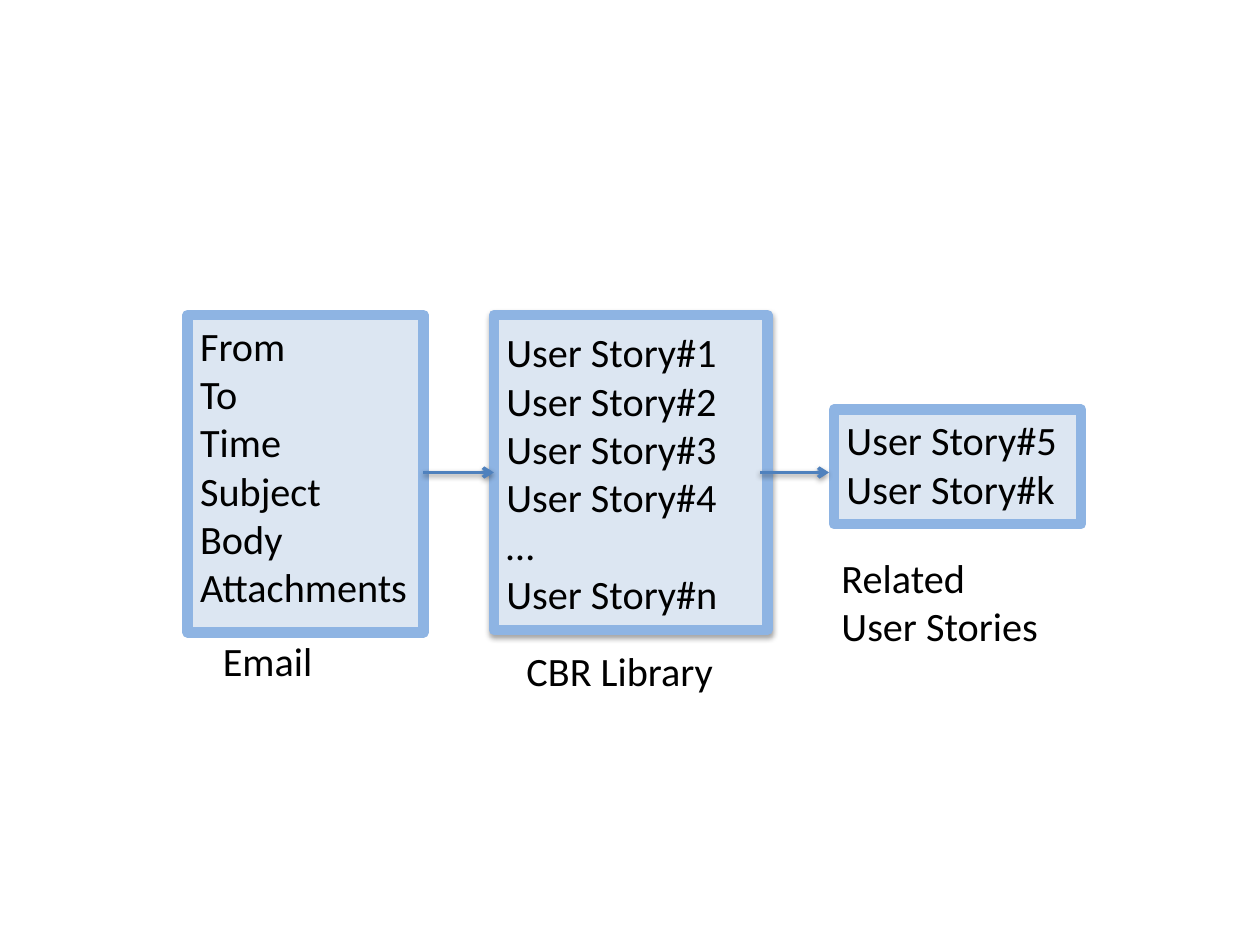
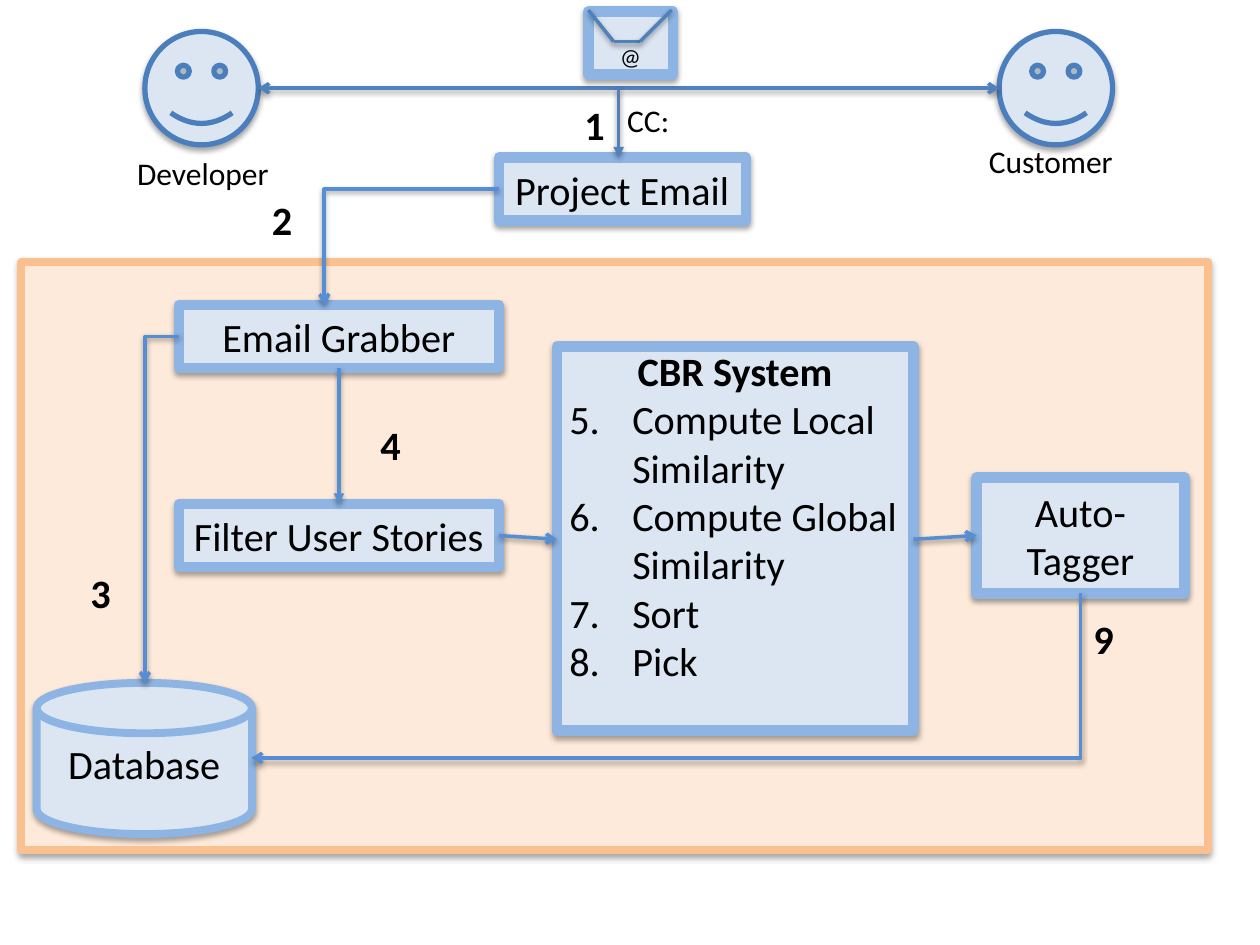
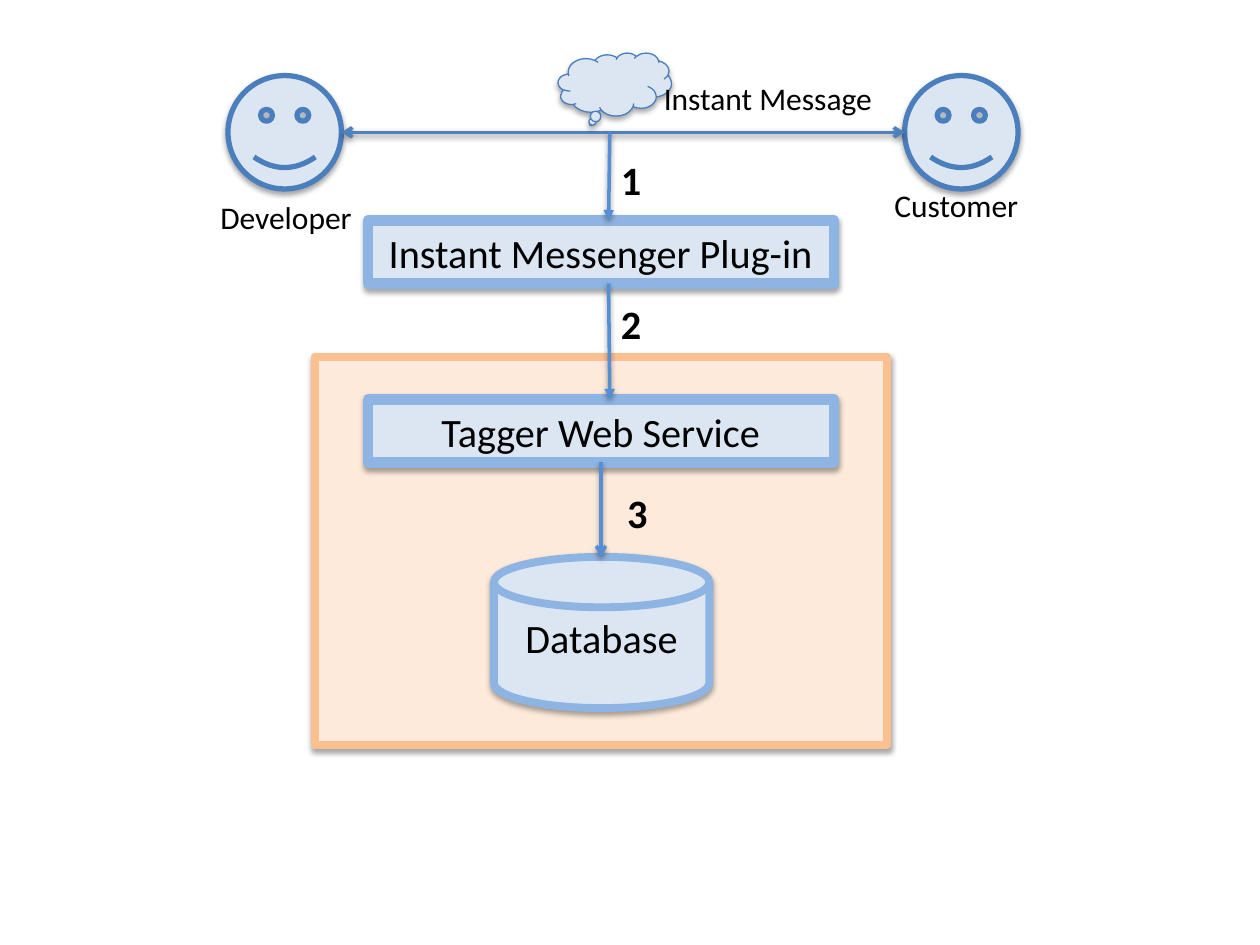
import lxml.etree
import pptx
import pptx.dml.color
import pptx.enum.shapes
import pptx.enum.text
import pptx.oxml.ns
import pptx.util

RGB = pptx.dml.color.RGBColor
SHAPE = pptx.enum.shapes.MSO_SHAPE
LINE = pptx.enum.shapes.MSO_CONNECTOR
ALIGN = pptx.enum.text.PP_ALIGN
ANCHOR = pptx.enum.text.MSO_ANCHOR
FIT = pptx.enum.text.MSO_AUTO_SIZE
qn = pptx.oxml.ns.qn

PX = 9144  # 100 px to the inch
BLACK = RGB(0x00, 0x00, 0x00)
PALE = RGB(0xDC, 0xE6, 0xF2)
SKY = RGB(0x8E, 0xB4, 0xE3)
FACE = RGB(0x4B, 0x7E, 0xBC)
STEEL = RGB(0x4F, 0x81, 0xBD)
AZURE = RGB(0x55, 0x8E, 0xD5)
PEACH = RGB(0xFD, 0xEA, 0xDA)
AMBER = RGB(0xFA, 0xC0, 0x90)
SHADOW = (
    '<a:effectLst xmlns:a="http://schemas.openxmlformats.org/drawingml/2006/main">'
    '<a:outerShdw blurRad="40000" dist="{}" dir="5400000" rotWithShape="0">'
    '<a:srgbClr val="000000"><a:alpha val="{}"/></a:srgbClr>'
    '</a:outerShdw></a:effectLst>'
)


def put(slide, kind, x, y, w, h, lines=(), size=23, bold=False,
        fill=PALE, edge=SKY, width=6):
    """Add a shadowed shape, or a plain text box when kind is None."""
    area = [n * PX for n in (x, y, w, h)]
    if kind is None:
        shape = slide.shapes.add_textbox(*area)
    else:
        shape = slide.shapes.add_shape(kind, *area)
        shape.fill.solid()
        shape.fill.fore_color.rgb = fill
        shape.line.color.rgb = edge
        shape.line.width = pptx.util.Pt(width)
        shape._element.spPr.append(pptx.oxml.parse_xml(SHADOW.format(23000, 35000)))
    frame = shape.text_frame
    frame.word_wrap = kind is not None
    if kind is None:
        frame.auto_size = FIT.SHAPE_TO_FIT_TEXT
    for i, line in enumerate(lines):
        para = frame.add_paragraph() if i else frame.paragraphs[0]
        para.alignment = ALIGN.CENTER if kind is not None else ALIGN.LEFT
        run = para.add_run()
        run.text = line
        run.font.name = "Calibri"
        run.font.size = pptx.util.Pt(size)
        run.font.bold = bold
        run.font.color.rgb = BLACK
    return shape


def link(slide, x1, y1, x2, y2, color=AZURE, head=None, tail="arrow"):
    """Add a shadowed line; head and tail name the ends at start and finish."""
    wire = slide.shapes.add_connector(
        LINE.STRAIGHT, *[n * PX for n in (x1, y1, x2, y2)])
    wire.line.color.rgb = color
    wire.line.width = pptx.util.Pt(2)
    ln = wire.line._get_or_add_ln()
    for tag, end in (("a:headEnd", head), ("a:tailEnd", tail)):
        if end:
            lxml.etree.SubElement(ln, qn(tag)).set("type", end)
    wire._element.spPr.append(pptx.oxml.parse_xml(SHADOW.format(20000, 38000)))
    return wire


deck = pptx.Presentation()
deck.slide_width, deck.slide_height = 1000 * PX, 750 * PX
match, mail, chat = [deck.slides.add_slide(deck.slide_layouts[6]) for _ in range(3)]

# Slide 1: from an email to its related user stories
stories = [f"User Story#{n}" for n in (1, 2, 3, 4)] + ["…", "User Story#n"]
store = put(match, SHAPE.RECTANGLE, 392, 250, 217, 250, stories)
for para in store.text_frame.paragraphs:
    para.alignment = ALIGN.LEFT

fields = ["From", "To", "Time", "Subject", "Body", "Attachments"]
email = put(match, None, 149, 250, 187, 252, fields)
email.text_frame.word_wrap = True
found = put(match, None, 662, 325, 196, 91, ["User Story#5", "User Story#k"])
for box in (email, found):
    box.fill.solid()
    box.fill.fore_color.rgb = PALE
    box.line.color.rgb = SKY
    box.line.width = pptx.util.Pt(6)

put(match, None, 167, 500, 95, 50, ["Email"])
put(match, None, 408, 508, 176, 50, ["CBR Library"])
put(match, None, 658, 434, 185, 91, ["Related", "User Stories"])
for x1, x2 in ((336, 392), (603, 658)):
    link(match, x1, 375, x2, 375, STEEL)

# Slides 2 and 3: the two people who write to each other
for slide, left, right, top in ((mail, 115, 793, 25), (chat, 181, 718, 60)):
    for x in (left, right):
        put(slide, SHAPE.SMILEY_FACE, x, top, 90, 90, edge=FACE, width=3)
    put(slide, None, left - 16, top + 92, 126, 40, ["Developer"], 18)
    put(slide, None, right - 18, top + 83, 120, 40, ["Customer"], 18)
    link(slide, left + 90, top + 45, right, top + 45, STEEL, head="arrow")

# Pane, boxes and database of both slides
for slide, area in ((mail, (17, 208, 942, 467)), (chat, (250, 283, 454, 308))):
    put(slide, SHAPE.RECTANGLE, *area, fill=PEACH, edge=AMBER, width=4.5)
for slide, x, y, w, h, label in (
    (mail, 396, 125, 196, 50, "Project Email"),
    (mail, 142, 242, 254, 50, "Email Grabber"),
    (mail, 142, 400, 254, 50, "Filter User Stories"),
    (mail, 775, 379, 165, 92, "Auto-Tagger"),
    (chat, 292, 175, 370, 50, "Instant Messenger Plug-in"),
    (chat, 292, 317, 370, 50, "Tagger Web Service"),
):
    put(slide, SHAPE.RECTANGLE, x, y, w, h, [label])
for slide, x, y in ((mail, 29, 542), (chat, 392, 442)):
    disk = put(slide, SHAPE.FLOWCHART_MAGNETIC_DISK, x, y, 171, 120,
               ["Database"], width=4.5)
    disk.text_frame.vertical_anchor = ANCHOR.TOP

# Slide 2: envelope
cover = put(mail, SHAPE.RECTANGLE, 467, 9, 67, 50, ["@"])
sign = cover.text_frame.paragraphs[0].runs[0]
sign.font._element.set("baseline", "-25000")
flap = [(467, 8), (487, 33), (508, 33), (533, 8)]
for start, end in zip(flap, flap[1:]):
    link(mail, *start, *end, STEEL, tail=None)
put(mail, None, 488, 75, 54, 40, ["CC:"], 18)

# Slide 2: case-based reasoning steps
steps = ["Compute Local Similarity", "Compute Global Similarity", "Sort", "Pick"]
core = put(mail, SHAPE.RECTANGLE, 442, 275, 283, 305, ["CBR System"] + steps)
core.text_frame.vertical_anchor = ANCHOR.TOP
core.text_frame.margin_top = 0
title, *items = core.text_frame.paragraphs
title.runs[0].font.bold = True
for para in items:
    para.alignment = ALIGN.LEFT
    props = para._p.get_or_add_pPr()
    props.set("marL", str(50 * PX))
    props.set("indent", str(-50 * PX))
    mark = lxml.etree.SubElement(props, qn("a:buAutoNum"))
    mark.set("type", "arabicPeriod")
    mark.set("startAt", "5")

# Slide 2: flow
link(mail, 491, 70, 491, 125, STEEL, tail="triangle")
link(mail, 269, 292, 269, 400, tail="triangle")
link(mail, 396, 425, 442, 428)
link(mail, 725, 428, 775, 425)
for x, y, w, h, turn, flip, kind, bend in (
    (258, 150, 138, 92, 180, "1", "bentConnector3", 100500),
    (115, 267, 27, 275, 180, "1", "bentConnector2", None),
    (463, 207, 131, 658, 90, "0", "bentConnector2", None),
):
    props = link(mail, x, y, x + w, y + h)._element.spPr
    props.xfrm.set("rot", str(turn * 60000))
    props.xfrm.set("flipV", flip)
    shape = props.find(qn("a:prstGeom"))
    shape.set("prst", kind)
    if bend:
        guide = lxml.etree.SubElement(shape.find(qn("a:avLst")), qn("a:gd"))
        guide.set("name", "adj1")
        guide.set("fmla", f"val {bend}")

# Slide 3: message and flow
put(chat, SHAPE.CLOUD_CALLOUT, 443, 42, 90, 50, edge=FACE, width=0.75)
put(chat, None, 517, 58, 187, 40, ["Instant Message"], 18)
link(chat, 484, 105, 483, 175, tail="triangle")
link(chat, 483, 225, 484, 317, tail="triangle")
link(chat, 477, 367, 477, 442)

# Step numbers
for slide, step, x, y in (
    (mail, "1", 454, 75), (mail, "2", 206, 150), (mail, "3", 62, 446),
    (mail, "4", 292, 329), (mail, "9", 858, 483),
    (chat, "1", 483, 118), (chat, "2", 483, 233), (chat, "3", 488, 383),
):
    put(slide, None, x, y, 37, 50, [step], bold=True)

deck.save("out.pptx")
